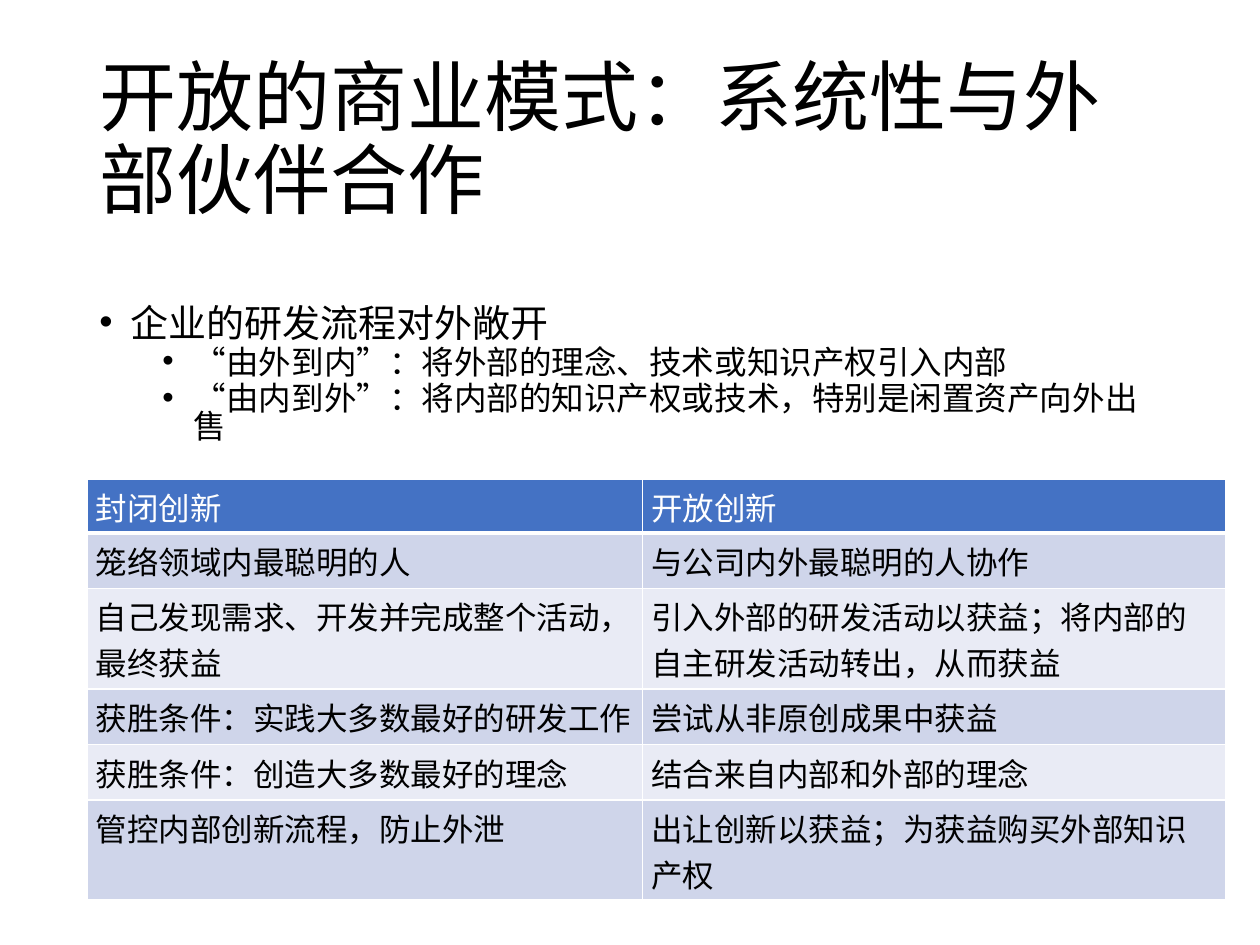
from pptx import Presentation
from pptx import util as u
from pptx.dml.color import RGBColor
from pptx.enum import text
from pptx.oxml import parse_xml
from pptx.oxml.ns import nsdecls

FONT = "Calibri"


def style(paragraph, size, color="000000"):
    paragraph.font.name = FONT
    paragraph.font.size = u.Pt(size)
    paragraph.font.color.rgb = RGBColor.from_string(color)


def add_text_box(slide, top, height, anchor):
    shape = slide.shapes.add_textbox(u.Inches(0.69), u.Inches(top), u.Inches(8.62), u.Inches(height))
    shape.text_frame.word_wrap = True
    shape.text_frame.vertical_anchor = anchor
    return shape.text_frame


presentation = Presentation()
presentation.slide_width = u.Inches(10)
presentation.slide_height = u.Inches(7.5)
slide = presentation.slides.add_slide(presentation.slide_layouts[6])

# Title
title = add_text_box(slide, 0.4, 1.45, text.MSO_ANCHOR.MIDDLE).paragraphs[0]
title.text = "开放的商业模式：系统性与外部伙伴合作"
title.line_spacing = 0.9
style(title, 44)

# Bulleted points: level, size, wording
points = [
    (0, 21.7, "企业的研发流程对外敞开"),
    (1, 18.6, "“由外到内”：将外部的理念、技术或知识产权引入内部"),
    (1, 18.6, "“由内到外”：将内部的知识产权或技术，特别是闲置资产向外出售"),
]
body = add_text_box(slide, 2.43, 1.09, text.MSO_ANCHOR.TOP)
for index, (level, size, wording) in enumerate(points):
    paragraph = body.paragraphs[0] if index == 0 else body.add_paragraph()
    paragraph.text = wording
    paragraph.level = level
    paragraph.line_spacing = 0.7
    if index:
        paragraph.space_before = u.Pt(5)
    properties = paragraph._p.get_or_add_pPr()
    properties.set("marL", str(u.Inches(0.25 + 0.5 * level)))
    properties.set("indent", str(u.Inches(-0.25)))
    properties.append(parse_xml(f'<a:buFont {nsdecls("a")} typeface="Arial"/>'))
    properties.append(parse_xml(f'<a:buChar {nsdecls("a")} char="•"/>'))
    style(paragraph, size)

# Comparison table
rows = [
    ("封闭创新", "开放创新"),
    ("笼络领域内最聪明的人", "与公司内外最聪明的人协作"),
    ("自己发现需求、开发并完成整个活动，最终获益",
     "引入外部的研发活动以获益；将内部的自主研发活动转出，从而获益"),
    ("获胜条件：实践大多数最好的研发工作", "尝试从非原创成果中获益"),
    ("获胜条件：创造大多数最好的理念", "结合来自内部和外部的理念"),
    ("管控内部创新流程，防止外泄", "出让创新以获益；为获益购买外部知识产权"),
]
row_heights = [0.43, 0.44, 0.8, 0.44, 0.44, 0.79]
column_widths = [4.41, 4.63]
table = slide.shapes.add_table(
    len(rows), len(column_widths), u.Inches(0.69), u.Inches(3.8),
    u.Inches(sum(column_widths)), u.Inches(sum(row_heights))).table
for column, width in zip(table.columns, column_widths):
    column.width = u.Inches(width)

for row_index, (wordings, height) in enumerate(zip(rows, row_heights)):
    table.rows[row_index].height = u.Inches(height)
    header = row_index == 0
    fill = "4472C4" if header else ("E9EBF5", "CFD5EA")[row_index % 2]
    for column_index, wording in enumerate(wordings):
        cell = table.cell(row_index, column_index)
        cell.margin_left = cell.margin_right = u.Inches(0.07)
        cell.margin_top = cell.margin_bottom = u.Inches(0.04)
        cell.text = wording
        style(cell.text_frame.paragraphs[0], 18, "FFFFFF" if header else "000000")

        # White borders go before the fill in the cell properties
        properties = cell._tc.get_or_add_tcPr()
        for side in ("lnL", "lnR", "lnT", "lnB"):
            heavy = (header and side == "lnB") or (row_index == 1 and side == "lnT")
            properties.append(parse_xml(
                f'<a:{side} {nsdecls("a")} w="{u.Pt(3 if heavy else 1)}"><a:solidFill>'
                f'<a:srgbClr val="FFFFFF"/></a:solidFill></a:{side}>'))
        cell.fill.solid()
        cell.fill.fore_color.rgb = RGBColor.from_string(fill)

presentation.save("out.pptx")
